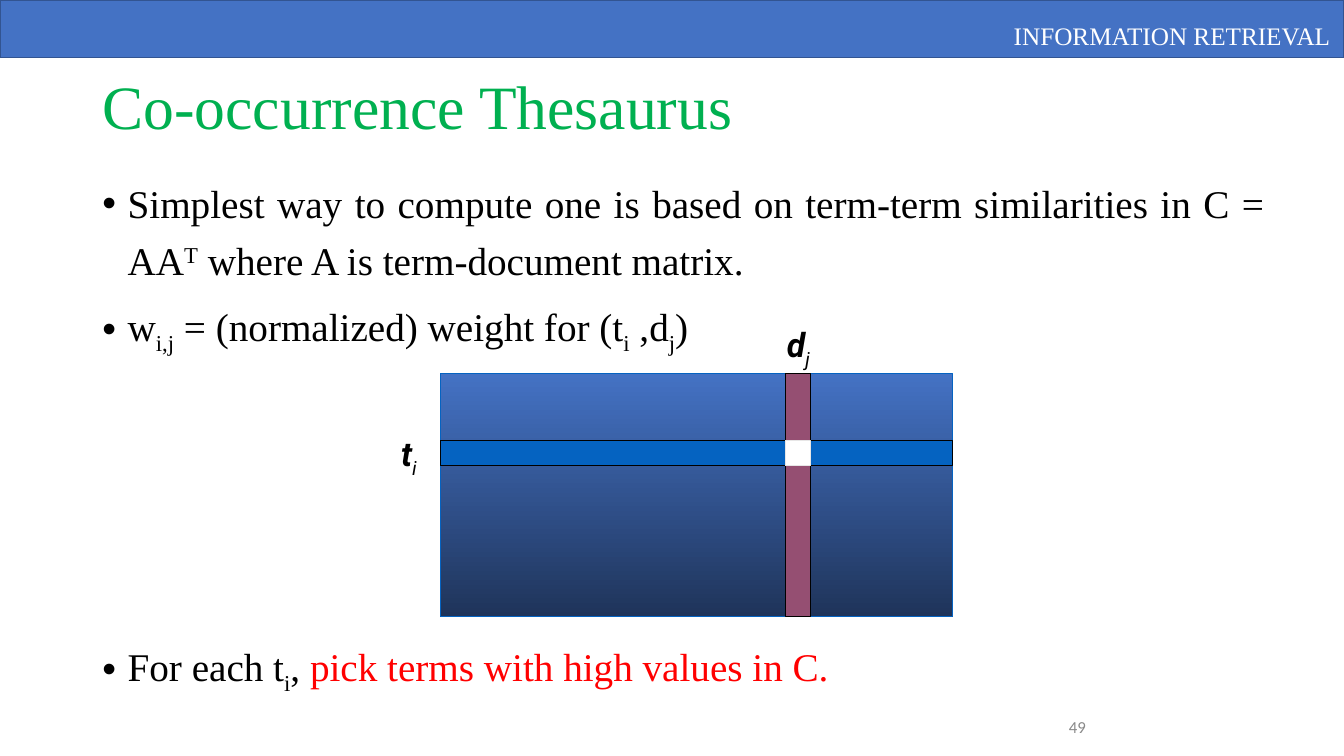
"""Build the co-occurrence thesaurus slide with its term-document matrix."""
from dataclasses import dataclass

from lxml.etree import SubElement
from pptx import Presentation
from pptx.dml.color import RGBColor
from pptx.enum.shapes import MSO_SHAPE as Shape
from pptx.enum.text import MSO_ANCHOR as Anchor, MSO_AUTO_SIZE as AutoSize, PP_ALIGN as Align
from pptx.oxml.ns import qn
from pptx.util import Pt

SERIF, SANS, LABEL = "Times New Roman", "Calibri", "Roboto"
SUB, SUPER = -25, 30
BLACK, WHITE = "000000", "FFFFFF"


@dataclass(frozen=True)
class Box:
    left: float
    top: float
    width: float
    height: float


@dataclass(frozen=True)
class Block:
    box: Box
    fills: tuple
    line: str
    weight: float = 0.75


@dataclass(frozen=True)
class Caption:
    box: Box
    wording: tuple
    size: float
    font: str
    color: str
    align: Align = Align.LEFT
    anchor: Anchor = Anchor.TOP
    wrap: bool = True


@dataclass(frozen=True)
class Bullet:
    wording: tuple
    space_before: float


def paint(color_format, value: str) -> None:
    color_format.rgb = RGBColor.from_string(value)


def write(paragraph, text: str, *, size: float, font: str, color: str = BLACK,
          bold: bool = False, italic: bool = False, baseline: int = 0) -> None:
    run = paragraph.add_run()
    run.text = text
    run.font.size, run.font.name = Pt(size), font
    run.font.bold, run.font.italic = bold, italic
    paint(run.font.color, color)
    if baseline:
        run._r.get_or_add_rPr().set("baseline", str(baseline * 1000))


def place(shape, box: Box) -> None:
    shape.left, shape.top = Pt(box.left), Pt(box.top)
    shape.width, shape.height = Pt(box.width), Pt(box.height)


def draw_block(slide, block: Block) -> None:
    box = block.box
    shape = slide.shapes.add_shape(
        Shape.RECTANGLE, Pt(box.left), Pt(box.top), Pt(box.width), Pt(box.height))
    shape.shadow.inherit = False
    if len(block.fills) == 1:
        shape.fill.solid()
        paint(shape.fill.fore_color, block.fills[0])
    else:
        shape.fill.gradient()
        shape.fill.gradient_angle = 270
        for position, (stop, value) in enumerate(zip(shape.fill.gradient_stops, block.fills)):
            stop.position = position
            paint(stop.color, value)
    paint(shape.line.color, block.line)
    shape.line.width = Pt(block.weight)


def draw_caption(slide, caption: Caption) -> None:
    box = caption.box
    frame = slide.shapes.add_textbox(
        Pt(box.left), Pt(box.top), Pt(box.width), Pt(box.height)).text_frame
    frame.word_wrap, frame.vertical_anchor = caption.wrap, caption.anchor
    paragraph = frame.paragraphs[0]
    paragraph.alignment = caption.align
    for text, style in caption.wording:
        write(paragraph, text, size=caption.size, font=caption.font,
              color=caption.color, **style)


def fill_title(title, text: str) -> None:
    place(title, Box(66, 45.5, 867, 66))
    frame = title.text_frame
    frame.auto_size, frame.vertical_anchor = AutoSize.NONE, Anchor.MIDDLE
    heading = frame.paragraphs[0]
    heading.alignment, heading.line_spacing = Align.LEFT, 0.9
    write(heading, text, size=44, font=SERIF, color="00B050")


def fill_bullets(body, bullets: tuple) -> None:
    place(body, Box(66, 118, 844.5, 376.5))
    frame = body.text_frame
    frame.auto_size, frame.vertical_anchor = AutoSize.NONE, Anchor.TOP
    for index, bullet in enumerate(bullets):
        paragraph = frame.add_paragraph() if index else frame.paragraphs[0]
        paragraph.alignment, paragraph.line_spacing = Align.JUSTIFY, 1.2
        paragraph.space_before = Pt(bullet.space_before)
        properties = paragraph._p.get_or_add_pPr()
        properties.set("marL", str(Pt(18)))
        properties.set("indent", str(-Pt(18)))
        SubElement(properties, qn("a:buFont"), typeface="Arial")
        SubElement(properties, qn("a:buChar"), char="•")
        for text, style in bullet.wording:
            write(paragraph, text, size=28, font=SERIF, **style)


def main() -> None:
    deck = Presentation()
    deck.slide_width, deck.slide_height = Pt(960), Pt(540)
    slide = deck.slides.add_slide(deck.slide_layouts[1])
    title, body = slide.placeholders

    sub = {"baseline": SUB}
    bullets = (
        Bullet((("Simplest way to compute one is based on term-term similarities in C = AA", {}),
                ("T", {"baseline": SUPER}), (" where A is term-document matrix.", {})), 0),
        Bullet((("w", {}), ("i,j", sub), (" = (normalized) weight for (t", {}), ("i", sub),
                (" ,d", {}), ("j", sub), (")", {})), 6),
        Bullet((("For each t", {}), ("i", sub), (", ", {}),
                ("pick terms with high values in C.", {"color": "FF0000"})), 197),
    )

    matrix = Box(314.6, 266.6, 366, 174)
    band = 18
    term_top, document_left = 314.6, 560.8
    blocks = (
        Block(matrix, ("4472C4", "1F345A"), "0563C1"),
        Block(Box(matrix.left, term_top, matrix.width, band), ("0563C1",), BLACK),
        Block(Box(document_left, matrix.top, band, matrix.height), ("954F72",), BLACK),
        Block(Box(document_left, term_top, band, band), (WHITE,), "E7E6E6"),
    )

    strong = {"bold": True, "italic": True}
    index = {"italic": True, "baseline": SUB}
    captions = (
        Caption(Box(717, 10.8, 243, 29), (("INFORMATION RETRIEVAL", {}),), 18, SERIF, WHITE,
                wrap=False),
        Caption(Box(279.4, 306, 54, 36), (("t", strong), ("i", index)), 24, LABEL, BLACK),
        Caption(Box(555, 228.2, 54, 36), (("d", strong), ("j", index)), 24, LABEL, BLACK),
        Caption(Box(614.9, 509.8, 167.8, 19.4), (("49", {}),), 12, SANS, "898989",
                Align.RIGHT, Anchor.MIDDLE),
    )

    draw_block(slide, Block(Box(0, 0, 960, 41), ("4472C4",), "325491", 1))
    fill_title(title, "Co-occurrence Thesaurus")
    fill_bullets(body, bullets)
    for block in blocks:
        draw_block(slide, block)
    for caption in captions:
        draw_caption(slide, caption)
    deck.save("out.pptx")


if __name__ == "__main__":
    main()
